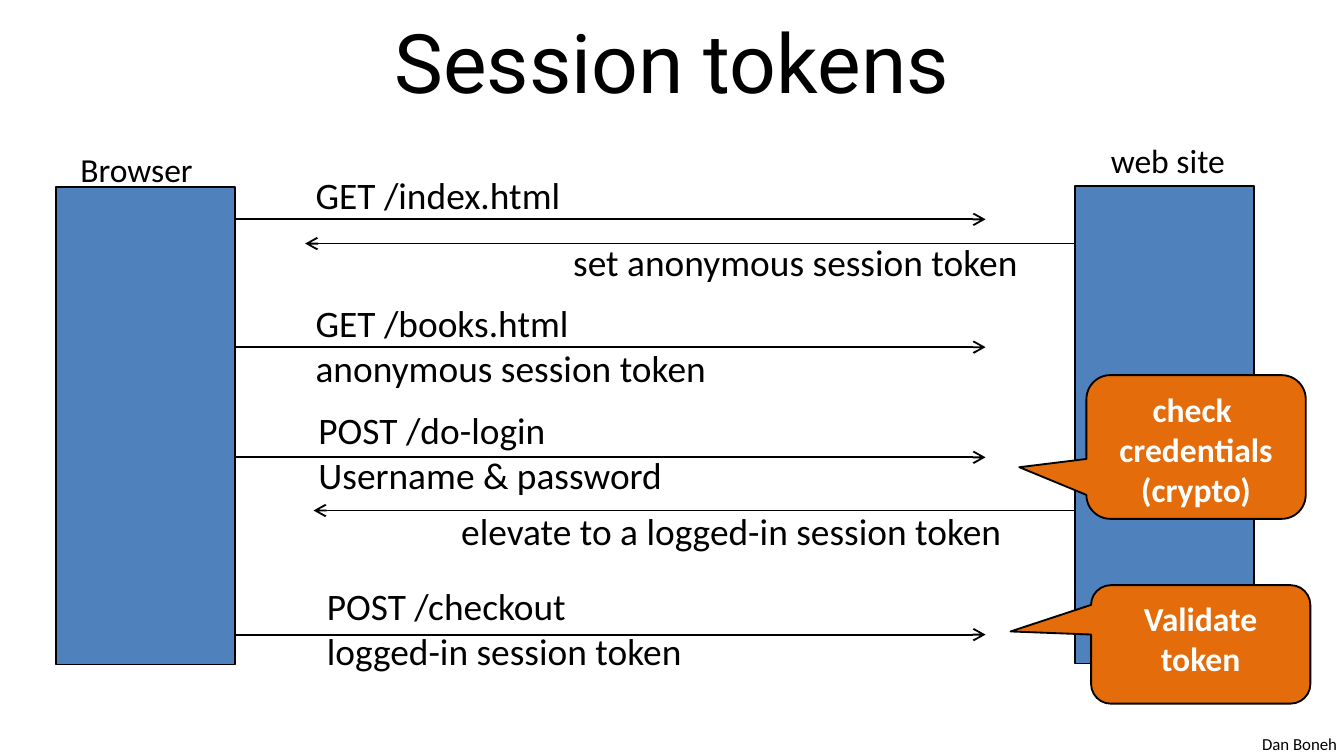
from lxml import etree
from pptx import Presentation
from pptx.dml.color import RGBColor
from pptx.enum.shapes import MSO_CONNECTOR, MSO_SHAPE
from pptx.enum.text import MSO_ANCHOR, MSO_AUTO_SIZE, PP_ALIGN
from pptx.oxml.ns import qn
from pptx.util import Pt

STRAIGHT = MSO_CONNECTOR.STRAIGHT
RECTANGLE = MSO_SHAPE.RECTANGLE
CALLOUT = MSO_SHAPE.ROUNDED_RECTANGULAR_CALLOUT
TOP, MIDDLE = MSO_ANCHOR.TOP, MSO_ANCHOR.MIDDLE
NO_FIT, GROW = MSO_AUTO_SIZE.NONE, MSO_AUTO_SIZE.SHAPE_TO_FIT_TEXT
LEFT, CENTER = PP_ALIGN.LEFT, PP_ALIGN.CENTER

BLACK = RGBColor(0x00, 0x00, 0x00)
WHITE = RGBColor(0xFF, 0xFF, 0xFF)
BLUE = RGBColor(0x4F, 0x81, 0xBD)
ORANGE = RGBColor(0xE4, 0x6C, 0x0A)

TITLE_FONT = {"name": "Roboto", "size": Pt(44), "bold": False}
MESSAGE_FONT = {"name": "Calibri", "size": Pt(20)}
LABEL_FONT = {"name": "Calibri", "size": Pt(18)}
CREDIT_FONT = {"name": "Calibri", "size": Pt(9)}
CALLOUT_FONT = {"name": "Calibri", "size": Pt(18), "bold": True}

PARTY_WIDTH, PARTY_HEIGHT = 96, 256
BROWSER_LEFT, SITE_LEFT = 30, 576
BROWSER_EDGE = BROWSER_LEFT + PARTY_WIDTH
REQUEST_END = 528
CALLOUT_WIDTH = 117.5

REQUEST_YS = [117.5, 186, 245, 340]
RESPONSES = [(130.5, 163.5), (273.5, 168)]  # height, arrow end
MESSAGES = [  # left, top, width, text
    (162, 88.5, 147, "GET /index.html"),
    (300, 124.5, 255.5, "set anonymous session token"),
    (162, 157.5, 227, "GET /books.html\nanonymous session token"),
    (163.5, 214.5, 201, "POST /do-login\nUsername & password"),
    (240, 268.5, 308, "elevate to a logged-in session token"),
    (168, 309, 206.5, "POST /checkout\nlogged-in session token"),
]
CALLOUTS = [  # left, top, height, pointer position, text
    (582, 201, 77, (-0.806, 0.141), "check \vcredentials\n(crypto)"),
    (584.5, 313.5, 63.5, (-0.867, -0.109), "Validate\ntoken"),
]


def apply(target, values):
    for name, value in values.items():
        setattr(target, name, value)


def write(frame, text, font, color=BLACK, align=LEFT):
    frame.text = text
    for paragraph in frame.paragraphs:
        paragraph.alignment = align
        for run in paragraph.runs:
            apply(run.font, font)
            run.font.color.rgb = color


def add_title(slide, text):
    title = slide.shapes.title
    apply(title, {"left": Pt(36), "top": Pt(-1.5),
                  "width": Pt(648), "height": Pt(68)})
    write(title.text_frame, text, TITLE_FONT, align=CENTER)
    apply(title.text_frame, {"vertical_anchor": MIDDLE, "auto_size": NO_FIT})


def add_label(slide, left, top, width, text, font):
    height = (text.count("\n") + 1) * font["size"].pt * 1.2 + 7.2
    label = slide.shapes.add_textbox(Pt(left), Pt(top), Pt(width), Pt(height))
    write(label.text_frame, text, font)
    apply(label.text_frame, {"word_wrap": False, "auto_size": GROW})


def add_outlined(slide, preset, left, top, width, height, color):
    shape = slide.shapes.add_shape(
        preset, Pt(left), Pt(top), Pt(width), Pt(height))
    shape.shadow.inherit = False
    shape.fill.solid()
    shape.fill.fore_color.rgb = color
    shape.line.color.rgb = BLACK
    shape.line.width = Pt(1)
    return shape


def add_party(slide, left, top):
    add_outlined(slide, RECTANGLE, left, top, PARTY_WIDTH, PARTY_HEIGHT, BLUE)


def add_arrow(slide, start, end, y):
    arrow = slide.shapes.add_connector(STRAIGHT, Pt(start), Pt(y), Pt(end), Pt(y))
    arrow.line.color.rgb = BLACK
    arrow.line.width = Pt(1)
    etree.SubElement(arrow.line._get_or_add_ln(), qn("a:tailEnd"), type="arrow")
    etree.SubElement(arrow._element.spPr, qn("a:effectLst"))


def add_callout(slide, left, top, height, pointer, text):
    callout = add_outlined(slide, CALLOUT, left, top, CALLOUT_WIDTH, height, ORANGE)
    callout.adjustments[0], callout.adjustments[1] = pointer
    write(callout.text_frame, text, CALLOUT_FONT, WHITE, CENTER)
    apply(callout.text_frame, {"word_wrap": False, "vertical_anchor": TOP})


def main():
    presentation = Presentation()
    apply(presentation, {"slide_width": Pt(720), "slide_height": Pt(405)})
    slide = presentation.slides.add_slide(presentation.slide_layouts[5])

    add_title(slide, "Session tokens")
    add_label(slide, 669, 389.5, 54.5, "Dan Boneh", CREDIT_FONT)
    add_party(slide, BROWSER_LEFT, 100)
    add_label(slide, 36, 76.5, 75.5, "Browser", LABEL_FONT)
    add_party(slide, SITE_LEFT, 99.5)
    add_label(slide, 588, 71.5, 76.5, "web site", LABEL_FONT)

    for y in REQUEST_YS:
        add_arrow(slide, BROWSER_EDGE, REQUEST_END, y)
    for y, end in RESPONSES:
        add_arrow(slide, SITE_LEFT, end, y)
    for message in MESSAGES:
        add_label(slide, *message, MESSAGE_FONT)
    for callout in CALLOUTS:
        add_callout(slide, *callout)

    presentation.save("out.pptx")


if __name__ == "__main__":
    main()
